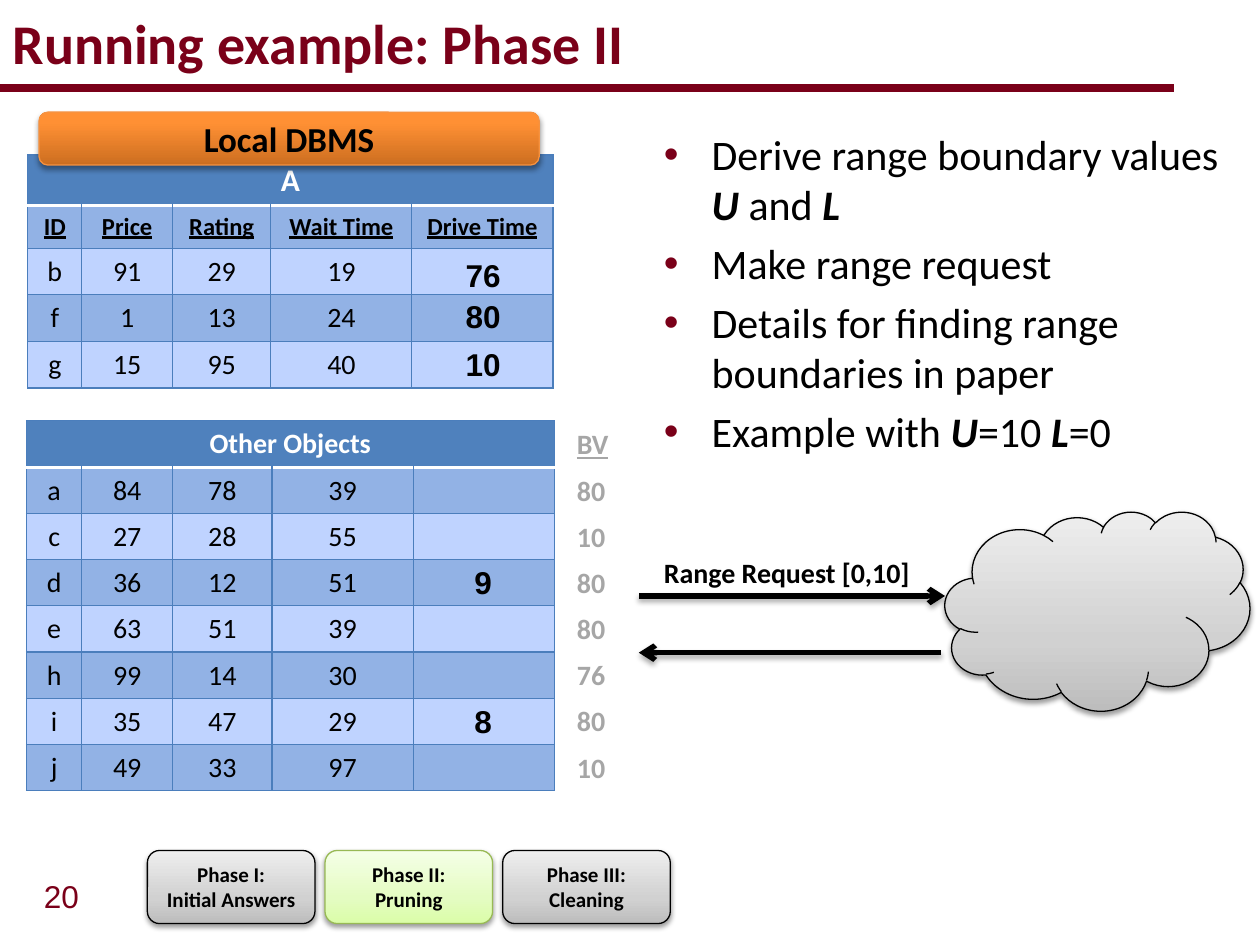
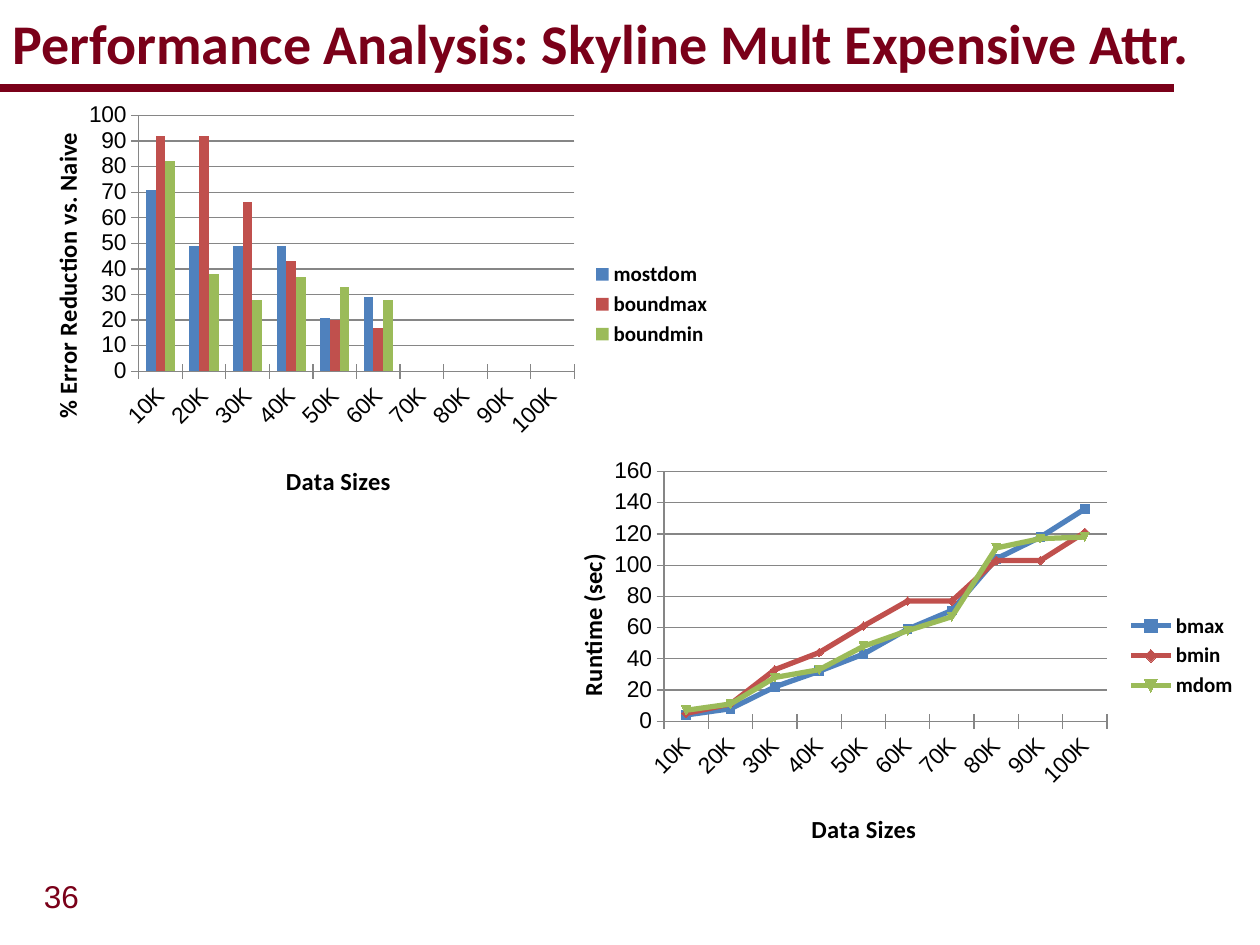
from lxml import etree
from pptx import Presentation
from pptx.chart.data import CategoryChartData
from pptx.dml.color import RGBColor
from pptx.enum import chart as ch, shapes, text
from pptx.oxml.ns import qn
from pptx.util import Inches, Pt

MAROON = RGBColor(0x7A, 0x00, 0x19)
BLACK = RGBColor(0, 0, 0)
WHITE = RGBColor(0xFF, 0xFF, 0xFF)
GREY = RGBColor(0xA6, 0xA6, 0xA6)
GRID = RGBColor(0x86, 0x86, 0x86)
HEADER_BLUE = RGBColor(0x4F, 0x81, 0xBD)
DARK_ROW = RGBColor(0x92, 0xB2, 0xE5)
LIGHT_ROW = RGBColor(0xBF, 0xD3, 0xFF)
BORDER = RGBColor(0x4B, 0x7E, 0xBC)
GREEN_EDGE = RGBColor(0x98, 0xB9, 0x55)
ORANGE_EDGE = RGBColor(0xF6, 0x92, 0x40)
SERIES = [HEADER_BLUE, RGBColor(0xC0, 0x50, 0x4D), RGBColor(0x9B, 0xBB, 0x59)]

# Gradient stops: (percent, colour), bottom to top
SILVER = [(0, "BDBDBD"), (35, "D1D1D1"), (100, "EEEEEE")]
LIME = [(0, "DAFDA7"), (35, "E4FCC2"), (100, "F5FFE7")]
ORANGE = [(0, "CC6E20"), (80, "FF9034"), (100, "FF9136")]

ANSWERS = [
    ["A", "", "", "", ""],
    ["ID", "Price", "Rating", "Wait Time", "Drive Time"],
    ["b", "91", "29", "19", ""],
    ["f", "1", "13", "24", ""],
    ["g", "15", "95", "40", ""],
]
OTHERS = [
    ["Other Objects", "", "", "", ""],
    ["a", "84", "78", "39", ""],
    ["c", "27", "28", "55", ""],
    ["d", "36", "12", "51", ""],
    ["e", "63", "51", "39", ""],
    ["h", "99", "14", "30", ""],
    ["i", "35", "47", "29", ""],
    ["j", "49", "33", "97", ""],
]
OTHERS_TOP, OTHERS_HEIGHT = 3.34, 2.93
BOUND_VALUES = ["BV", "80", "10", "80", "80", "76", "80", "10"]
DRIVE_TIMES = [("76", 1.98), ("80", 2.31), ("10", 2.69), ("9", 4.42), ("8", 5.52)]
PHASES = [
    (["Phase I:", "Initial Answers"], SILVER, BLACK),
    (["Phase II:", "Pruning"], LIME, GREEN_EDGE),
    (["Phase III:", "Cleaning"], SILVER, BLACK),
]
# Each bullet is a list of (words, is a variable)
BULLETS = [
    [("Derive range boundary values ", False), ("U ", True), ("and", False), (" L", True)],
    [("Make range request", False)],
    [("Details for finding range boundaries in paper", False)],
    [("Example with ", False), ("U", True), ("=10 ", False), ("L", True), ("=0", False)],
]
REQUEST_ARROWS = [((7.5, 4.73), (5.07, 4.73)), ((5.07, 5.18), (7.47, 5.18))]

SIZES = [f"{n}0K" for n in range(1, 11)]
ERROR_REDUCTION = {
    "kind": ch.XL_CHART_TYPE.COLUMN_CLUSTERED, "at": (0.08, 0.75, 5.67, 3.33),
    "plot": (0.18, 0.05, 0.61, 0.61), "title": "% Error Reduction vs. Naive",
    "title_top": 0.08, "max": 100, "step": 10,
    "series": {"mostdom": [71, 49, 49, 49, 21, 29],
               "boundmax": [92, 92, 66, 43, 20, 17],
               "boundmin": [82, 38, 28, 37, 33, 28]},
}
RUNTIME = {
    "kind": ch.XL_CHART_TYPE.LINE_MARKERS, "at": (4.25, 3.58, 5.67, 3.25),
    "plot": (0.18, 0.05, 0.62, 0.61), "title": "Runtime (sec)",
    "title_top": 0.24, "max": 160, "step": 20,
    "series": {"bmax": [4, 8, 22, 32, 43, 59, 71, 104, 118, 136],
               "bmin": [5, 11, 33, 44, 61, 77, 77, 103, 103, 121],
               "mdom": [7, 11, 28, 33, 48, 58, 67, 111, 117, 118]},
}


def sub(parent, tag, **attributes):
    child = etree.SubElement(parent, qn(tag))
    for key, value in attributes.items():
        child.set(key, str(value))
    return child


def style(font, size, color=BLACK, name="Calibri", bold=True):
    font.size, font.name, font.bold = Pt(size), name, bold
    font.color.rgb = color


def write(paragraph, words, size, color=BLACK, name="Calibri", bold=True):
    run = paragraph.add_run()
    run.text = words
    style(run.font, size, color, name, bold)
    return run


def add_label(slide, words, at, size, color=BLACK, name="Calibri", bold=True,
              align=text.PP_ALIGN.LEFT):
    frame = slide.shapes.add_textbox(*map(Inches, at)).text_frame
    frame.word_wrap = True
    frame.paragraphs[0].alignment = align
    return write(frame.paragraphs[0], words, size, color, name, bold)


def set_shadow(shape, opacity, distance):
    """Replace the theme shadow by a soft one that falls straight down."""
    effects = sub(shape._element.spPr, "a:effectLst")
    shadow = sub(effects, "a:outerShdw", blurRad=Pt(3.1), dist=Pt(distance),
                 dir=90 * 60000, rotWithShape=0)
    black = sub(shadow, "a:srgbClr", val="000000")
    sub(black, "a:alpha", val=opacity * 1000)


def add_glossy(slide, preset, at, stops, edge, lines=(), size=12, distance=1.6):
    """Add a shape with a vertical gradient, a shadow and centred bold lines."""
    shape = slide.shapes.add_shape(preset, *map(Inches, at))
    shape.fill.gradient()
    shape.fill.gradient_angle = 90
    stop_list = shape._element.spPr.find(".//" + qn("a:gsLst"))
    stop_list.clear()
    for percent, color in stops:
        sub(sub(stop_list, "a:gs", pos=percent * 1000), "a:srgbClr", val=color)
    shape.line.color.rgb = edge
    shape.line.width = Pt(0.75)
    set_shadow(shape, 38, distance)
    frame = shape.text_frame
    frame.vertical_anchor = text.MSO_ANCHOR.MIDDLE
    for i, line in enumerate(lines):
        paragraph = frame.add_paragraph() if i else frame.paragraphs[0]
        paragraph.alignment = text.PP_ALIGN.CENTER
        write(paragraph, line, size)


def set_borders(cell, row):
    properties = cell._tc.get_or_add_tcPr()
    for side in ("L", "R", "T", "B"):
        under_header = (row, side) in ((0, "B"), (1, "T"))
        line = sub(properties, f"a:ln{side}", w=Pt(2 if under_header else 0.75))
        color = WHITE if under_header else BORDER
        sub(sub(line, "a:solidFill"), "a:srgbClr", val=str(color))


def add_objects_table(slide, rows, at, widths, heights, header_size, named_columns=False):
    table = slide.shapes.add_table(len(rows), len(widths), *map(Inches, at)).table
    for column, width in zip(table.columns, widths):
        column.width = Inches(width)
    for table_row, height in zip(table.rows, heights):
        table_row.height = Inches(height)
    for r, row in enumerate(rows):
        for c, words in enumerate(row):
            cell = table.cell(r, c)
            set_borders(cell, r)
            cell.fill.solid()
            cell.fill.fore_color.rgb = (HEADER_BLUE if r == 0 else
                                        DARK_ROW if r % 2 else LIGHT_ROW)
            paragraph = cell.text_frame.paragraphs[0]
            paragraph.alignment = text.PP_ALIGN.CENTER
            if not words:
                paragraph._p.get_or_add_endParaRPr().set("sz", "1600")
            elif r == 0:
                write(paragraph, words, header_size, WHITE)
            elif r == 1 and named_columns:
                write(paragraph, words, 14).font.underline = True
            else:
                write(paragraph, words, 16, bold=False)
    table.cell(0, 0).merge(table.cell(0, len(widths) - 1))


def add_bullets(slide, at):
    frame = slide.shapes.add_textbox(*map(Inches, at)).text_frame
    frame.word_wrap = True
    for i, parts in enumerate(BULLETS):
        paragraph = frame.add_paragraph() if i else frame.paragraphs[0]
        paragraph.space_before = Pt(4.8)
        properties = paragraph._p.get_or_add_pPr()
        properties.set("marL", str(Inches(0.38)))
        properties.set("indent", str(-Inches(0.38)))
        sub(sub(properties, "a:buClr"), "a:srgbClr", val=str(MAROON))
        sub(properties, "a:buFont", typeface="Arial")
        sub(properties, "a:buChar", char="•")
        for words, variable in parts:
            write(paragraph, words, 24, bold=variable).font.italic = variable


def add_line(slide, start, end, color, width):
    line = slide.shapes.add_connector(shapes.MSO_CONNECTOR.STRAIGHT,
                                      *map(Inches, start + end))
    line.line.color.rgb = color
    line.line.width = Pt(width)
    return line


def add_arrow(slide, tip, tail):
    arrow = add_line(slide, tip, tail, BLACK, 3)
    sub(arrow.line._get_or_add_ln(), "a:headEnd", type="arrow")
    set_shadow(arrow, 35, 1.8)


def place(element, position, **fractions):
    """Give a chart part a manual layout in fractions of the chart."""
    layout = element.find(qn("c:layout"))
    if layout is None:
        layout = etree.Element(qn("c:layout"))
        element.insert(position, layout)
    manual = sub(layout, "c:manualLayout")
    if "w" in fractions:
        sub(manual, "c:layoutTarget", val="inner")
    for key in ("x", "y"):
        sub(manual, f"c:{key}Mode", val="edge")
    for key, value in fractions.items():
        sub(manual, f"c:{key}", val=value)


def format_axis(axis, title, x, y, title_turn, label_turn):
    """Style an axis; turns are in degrees."""
    frame = axis.axis_title.text_frame
    write(frame.paragraphs[0], title, 14)
    frame._txBody.find(qn("a:bodyPr")).set("rot", str(title_turn * 60000))
    place(axis.axis_title._element, 1, x=x, y=y)
    axis.major_tick_mark = ch.XL_TICK_MARK.CROSS
    axis.format.line.color.rgb = GRID
    style(axis.tick_labels.font, 13, name="Arial", bold=False)
    body = axis._element.find(qn("c:txPr")).find(qn("a:bodyPr"))
    body.set("rot", str(label_turn * 60000))


def add_performance_chart(slide, spec_sheet):
    data = CategoryChartData()
    data.categories = SIZES
    for name, values in spec_sheet["series"].items():
        data.add_series(name, values + [None] * (len(SIZES) - len(values)))
    chart = slide.shapes.add_chart(spec_sheet["kind"], *map(Inches, spec_sheet["at"]), data).chart
    style(chart.font, 10, name="Arial", bold=False)
    chart.has_title = False
    chart.has_legend = True
    chart.legend.position = ch.XL_LEGEND_POSITION.RIGHT
    chart.legend.include_in_layout = False
    style(chart.legend.font, 12)
    format_axis(chart.category_axis, "Data Sizes", 0.38, 0.87, 0, -45)
    values = chart.value_axis
    format_axis(values, spec_sheet["title"], 0.05, spec_sheet["title_top"], -90, 0)
    values.minimum_scale, values.maximum_scale = 0, spec_sheet["max"]
    values.major_unit = spec_sheet["step"]
    values.major_gridlines.format.line.color.rgb = GRID
    place(chart._chartSpace.chart.plotArea, 0, **dict(zip("xywh", spec_sheet["plot"])))
    plot = chart.plots[0]
    plot.vary_by_categories = False
    columns = spec_sheet["kind"] == ch.XL_CHART_TYPE.COLUMN_CLUSTERED
    if columns:
        plot.gap_width, plot.overlap = 150, 0
    for series, color in zip(plot.series, SERIES):
        if columns:
            fills = [series.format.fill]
        else:
            series.smooth = False
            series.format.line.color.rgb = color
            series.format.line.width = Pt(3)
            series.marker.format.line.color.rgb = color
            fills = [series.marker.format.fill]
        for fill in fills:
            fill.solid()
            fill.fore_color.rgb = color


def start_slide(deck, title, number, title_width):
    slide = deck.slides.add_slide(deck.slide_layouts[5])
    add_label(slide, number, (0.25, 6.91, 0.51, 0.4), 18, MAROON, "Arial", False)
    rule = add_line(slide, (-0.01, 0.7), (9.32, 0.7), MAROON, 4.5)
    sub(rule._element.spPr, "a:effectLst")
    holder = slide.shapes.title
    holder.left, holder.top = 0, 0
    holder.width, holder.height = Inches(title_width), Inches(0.67)
    frame = holder.text_frame
    frame.auto_size = text.MSO_AUTO_SIZE.NONE
    frame.vertical_anchor = text.MSO_ANCHOR.MIDDLE
    frame.paragraphs[0].alignment = text.PP_ALIGN.LEFT
    write(frame.paragraphs[0], title, 32, MAROON)
    return slide


def build_example(deck):
    slide = start_slide(deck, "Running example: Phase II", "20", 9.5)
    center = text.PP_ALIGN.CENTER
    rounded = shapes.MSO_SHAPE.ROUNDED_RECTANGLE
    row_height = OTHERS_HEIGHT / len(OTHERS)
    add_objects_table(slide, OTHERS, (0.21, OTHERS_TOP, 4.2, OTHERS_HEIGHT),
                      [0.44, 0.72, 0.79, 1.12, 1.12], [row_height] * len(OTHERS), 16)
    add_objects_table(slide, ANSWERS, (0.22, 1.23, 4.17, 1.83),
                      [0.43, 0.72, 0.78, 1.12, 1.12], [0.4, 0.34] + [0.37] * 3, 18, True)
    add_glossy(slide, rounded, (0.31, 0.89, 3.97, 0.42), ORANGE, ORANGE_EDGE,
               ["Local DBMS"], 20, 1.8)
    for i, (lines, stops, edge) in enumerate(PHASES):
        add_glossy(slide, rounded, (1.17 + 1.41 * i, 6.75, 1.33, 0.58), stops, edge, lines)
    add_bullets(slide, (5.17, 0.97, 4.83, 2.72))
    add_glossy(slide, shapes.MSO_SHAPE.CLOUD, (7.5, 4.06, 2.42, 1.58), SILVER, BLACK)
    for minutes, top in DRIVE_TIMES:
        add_label(slide, minutes, (3.25, top, 1.17, 0.4), 18, name="Arial", align=center)
    for i, bound in enumerate(BOUND_VALUES):
        run = add_label(slide, bound, (4.48, OTHERS_TOP + row_height * i, 0.52, 0.37), 16, GREY)
        run.font.underline = i == 0
    for tip, tail in REQUEST_ARROWS:
        add_arrow(slide, tip, tail)
    add_label(slide, "Range Request [0,10]", (5.07, 4.36, 2.35, 0.37), 16, align=center)


def build_performance(deck):
    slide = start_slide(deck, "Performance Analysis: Skyline Mult Expensive Attr.", "36", 10)
    for sheet in (ERROR_REDUCTION, RUNTIME):
        add_performance_chart(slide, sheet)


def main():
    deck = Presentation()
    deck.slide_width, deck.slide_height = Inches(10), Inches(7.5)
    build_example(deck)
    build_performance(deck)
    deck.save("out.pptx")


if __name__ == "__main__":
    main()
